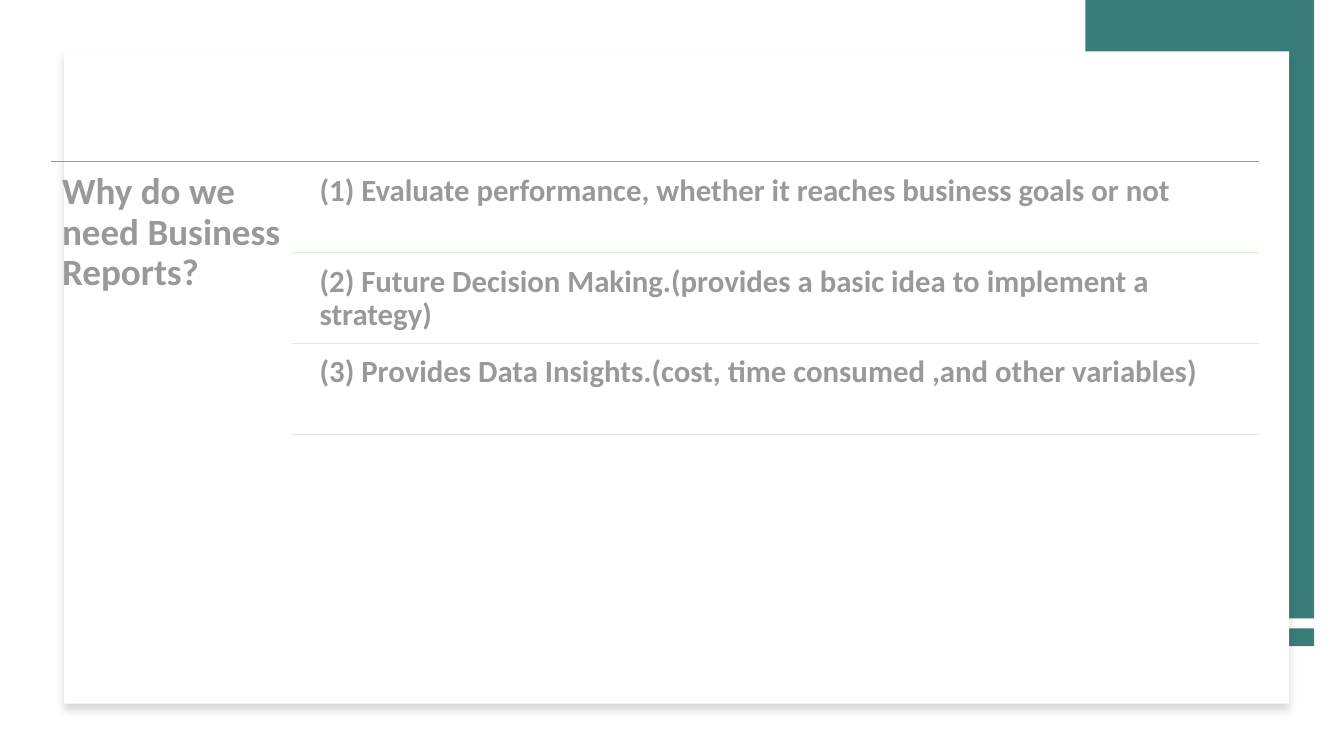
from lxml import etree
from pptx import Presentation
from pptx.dml.color import RGBColor
from pptx.enum.shapes import MSO_CONNECTOR as Connector, MSO_SHAPE as Shape
from pptx.oxml import parse_xml
from pptx.oxml.ns import nsdecls, qn
from pptx.util import Inches, Pt

COLORS = {
    "teal": "3A7C79",
    "card": "FFFFFF",
    "text": "999999",
    "top_rule": "929E9C",
    "green_rule": "D3EDD1",
    "aqua_rule": "D3EBE8",
    "gray_rule": "E0E4E3",
}
REASONS = [
    ("(1) Evaluate performance, whether it reaches business goals or not", "green_rule"),
    ("(2) Future Decision Making.(provides a basic idea to implement a strategy)", "aqua_rule"),
    ("(3) Provides Data Insights.(cost, time consumed ,and other variables)", "gray_rule"),
]
TOP, ROW_PITCH, RIGHT = 3.21, 1.8, 24.98


def color(name):
    """Return the named palette colour."""
    return RGBColor.from_string(COLORS[name])


def add_panel(page, left, top, width, height, fill):
    """Add a plain filled rectangle without outline or shadow."""
    panel = page.shapes.add_shape(
        Shape.RECTANGLE, Inches(left), Inches(top), Inches(width), Inches(height)
    )
    panel.shadow.inherit = False
    panel.fill.solid()
    panel.fill.fore_color.rgb = color(fill)
    panel.line.fill.background()
    return panel


def add_soft_shadow(panel):
    """Give a panel a faint shadow that falls downwards."""
    effects = panel._element.spPr.find(qn("a:effectLst"))
    effects.append(parse_xml(
        f'<a:outerShdw {nsdecls("a")} blurRad="{Pt(11)}" dist="{Pt(10)}" '
        'dir="5400000" algn="t" rotWithShape="0"><a:srgbClr val="000000">'
        '<a:alpha val="15000"/></a:srgbClr></a:outerShdw>'
    ))


def add_rule(page, left, top, rule_color):
    """Add a thin horizontal rule that ends at the right margin."""
    rule = page.shapes.add_connector(
        Connector.STRAIGHT, Inches(left), Inches(top), Inches(RIGHT), Inches(top)
    )
    rule.line.color.rgb = color(rule_color)
    rule.line.width = Pt(1)
    etree.SubElement(rule._element.spPr, qn("a:effectLst"))


def add_text(page, text, *, left, top, width, height, size, inset):
    """Add a wrapped text box with one bold paragraph."""
    box = page.shapes.add_textbox(
        Inches(left), Inches(top), Inches(width), Inches(height)
    )
    frame = box.text_frame
    frame.word_wrap = True
    frame.margin_left = frame.margin_right = Inches(inset)
    frame.margin_top = frame.margin_bottom = Inches(inset)
    para = frame.paragraphs[0]
    para.line_spacing = 0.9
    span = para.add_run()
    span.text = text
    span.font.name = "Calibri"
    span.font.size = Pt(size)
    span.font.bold = True
    span.font.color.rgb = color("text")


def main():
    """Build the slide and save the deck."""
    deck = Presentation()
    deck.slide_width, deck.slide_height = Inches(26.66), Inches(15)
    page = deck.slides.add_slide(deck.slide_layouts[6])

    add_panel(page, 21.53, 12.47, 4.54, 0.35, "teal")
    add_panel(page, 21.53, 0, 4.54, 12.27, "teal")
    add_soft_shadow(add_panel(page, 1.27, 1.02, 24.3, 12.94, "card"))

    add_rule(page, 1.01, TOP, "top_rule")
    add_text(page, "Why do we need Business Reports?", left=1.01, top=TOP,
             width=4.79, height=5.49, size=53, inset=0.22)
    for index, (reason, rule_color) in enumerate(REASONS):
        row_top = TOP + index * ROW_PITCH
        add_text(page, reason, left=6.16, top=row_top + 0.08,
                 width=18.82, height=1.71, size=44, inset=0.18)
        add_rule(page, 5.8, row_top + ROW_PITCH, rule_color)

    deck.save("out.pptx")


if __name__ == "__main__":
    main()
